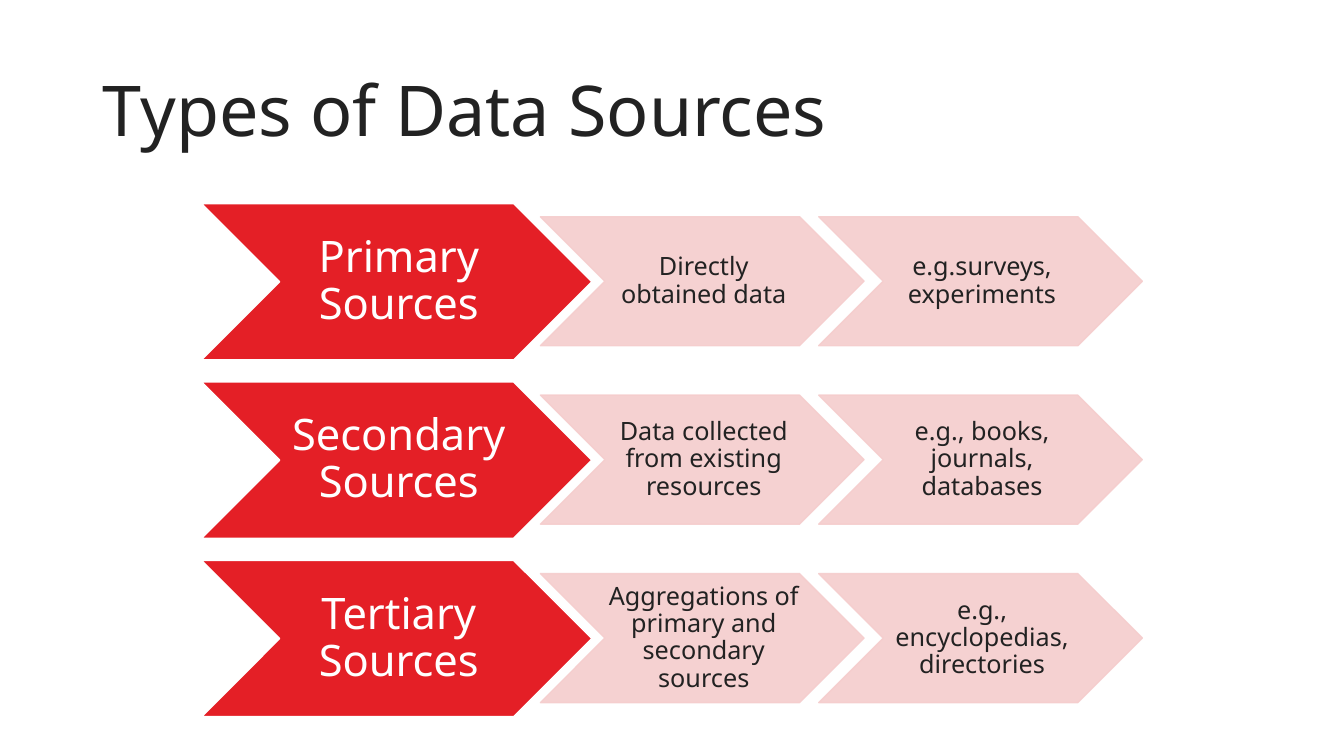
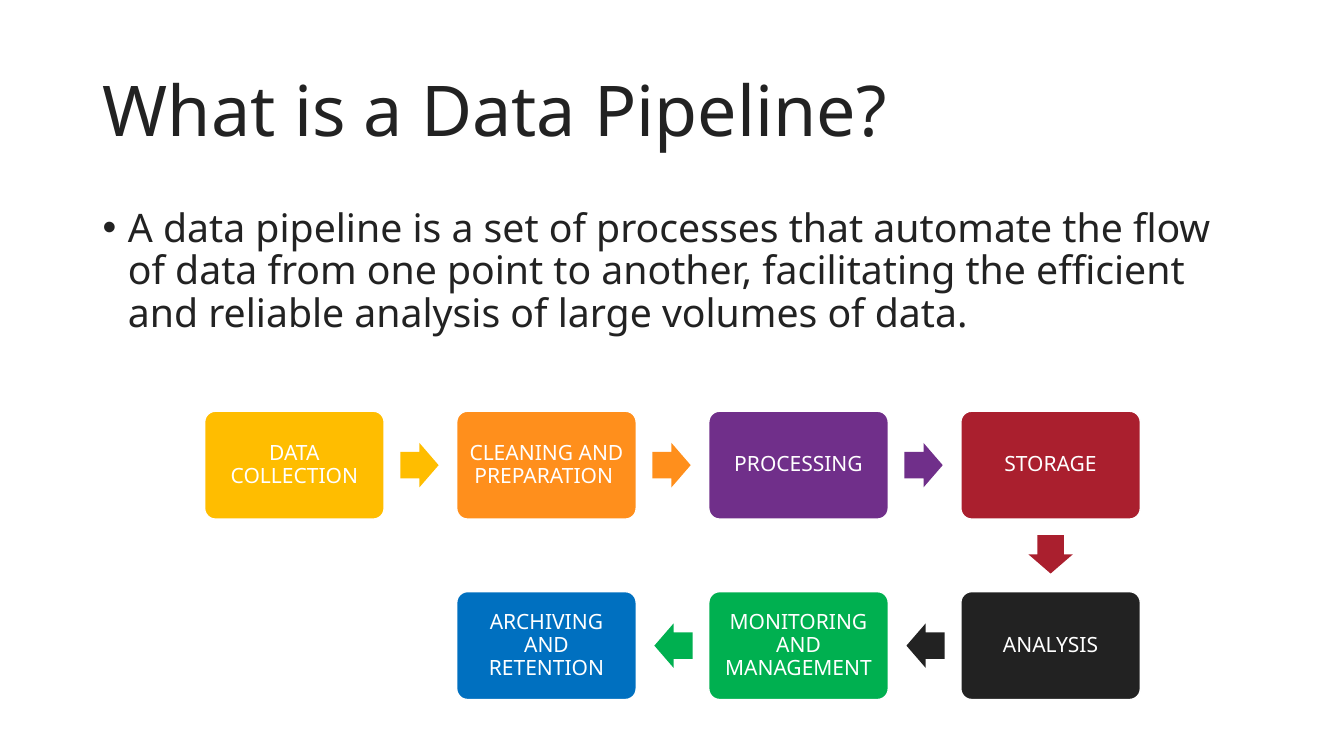
"""Build two slides on data sources and data pipelines."""
from itertools import zip_longest

from lxml import etree
from pptx import Presentation
from pptx.dml.color import RGBColor
from pptx.enum.shapes import MSO_SHAPE as SHAPE
from pptx.enum.text import MSO_ANCHOR as ANCHOR, MSO_AUTO_SIZE as AUTO, PP_ALIGN as ALIGN
from pptx.oxml.ns import qn
from pptx.util import Inches, Pt

FONT = "Noto Sans"
WHITE = RGBColor(0xFF, 0xFF, 0xFF)
INK = RGBColor(0x22, 0x22, 0x22)
RED = RGBColor(0xE4, 0x1F, 0x26)
PINK = RGBColor(0xF5, 0xCD, 0xCD)
YELLOW = RGBColor(0xFF, 0xBD, 0x00)
ORANGE = RGBColor(0xFF, 0x8F, 0x1C)
PURPLE = RGBColor(0x70, 0x2F, 0x8A)
CRIMSON = RGBColor(0xAA, 0x1F, 0x2E)
GREEN = RGBColor(0x00, 0xB0, 0x50)
BLUE = RGBColor(0x00, 0x70, 0xC0)

SOURCES = [
    ("Primary Sources", "Directly obtained data", "e.g.surveys, experiments"),
    ("Secondary Sources", "Data collected from existing resources",
     "e.g., books, journals, databases"),
    ("Tertiary Sources", "Aggregations of primary and secondary sources",
     "e.g., encyclopedias, directories"),
]
STAGES = [
    ("DATA COLLECTION", YELLOW, 0, 0),
    ("CLEANING AND PREPARATION ", ORANGE, 1, 0),
    ("PROCESSING", PURPLE, 2, 0),
    ("STORAGE", CRIMSON, 3, 0),
    ("ANALYSIS", INK, 3, 1),
    ("MONITORING AND MANAGEMENT", GREEN, 2, 1),
    ("ARCHIVING AND RETENTION", BLUE, 1, 1),
]
DEFINITION = (
    "A data pipeline is a set of processes that automate the flow of data "
    "from one point to another, facilitating the efficient and reliable "
    "analysis of large volumes of data. "
)
STAGE_W, STAGE_H = 1.78, 1.07
ARROW_W, ARROW_H, ARROW_GAP = 0.38, 0.44, 0.16


def write(frame, text, size, color, align=ALIGN.LEFT, anchor=ANCHOR.MIDDLE):
    """Put one formatted run into a text frame and return its paragraph."""
    frame.word_wrap = True
    frame.auto_size = AUTO.NONE
    frame.vertical_anchor = anchor
    paragraph = frame.paragraphs[0]
    paragraph.alignment = align
    paragraph.line_spacing = 0.9
    run = paragraph.add_run()
    run.text = text
    run.font.name = FONT
    run.font.size = Pt(size)
    run.font.color.rgb = color
    return paragraph


def set_margins(frame, left, top, right, bottom):
    """Set the four text margins in inches."""
    frame.margin_left, frame.margin_top = Inches(left), Inches(top)
    frame.margin_right, frame.margin_bottom = Inches(right), Inches(bottom)


def add_titled_slide(deck, title):
    """Add a title-only slide with the shared title style."""
    slide = deck.slides.add_slide(deck.slide_layouts[5])
    heading = slide.shapes.title
    heading.left, heading.top = Inches(0.92), Inches(0.4)
    heading.width, heading.height = Inches(11.5), Inches(1.45)
    write(heading.text_frame, title, 50, INK)
    return slide


def add_filled(slide, kind, box, fill, line=None):
    """Add a flat preset shape with a solid fill and an optional outline."""
    shape = slide.shapes.add_shape(kind, *(Inches(length) for length in box))
    shape.shadow.inherit = False
    shape.fill.solid()
    shape.fill.fore_color.rgb = fill
    if line is None:
        shape.line.fill.background()
    else:
        shape.line.color.rgb = line
        shape.line.width = Pt(1)
    return shape


def set_opacity(shape, percent):
    """Make the fill and outline of a shape partly transparent."""
    for color in shape.element.spPr.iter(qn("a:srgbClr")):
        etree.SubElement(color, qn("a:alpha")).set("val", str(percent * 1000))


def add_source_row(slide, top, source, *details):
    """Add a large source chevron followed by pale detail chevrons."""
    lead = add_filled(slide, SHAPE.CHEVRON, (2, top, 3.87, 1.55), RED, WHITE)
    set_margins(lead.text_frame, 0.04, 0.02, 0, 0.02)
    write(lead.text_frame, source, 31, WHITE, ALIGN.CENTER)
    for column, detail in enumerate(details):
        box = (5.36 + 2.76 * column, top + 0.13, 3.21, 1.28)
        chevron = add_filled(slide, SHAPE.CHEVRON, box, PINK, PINK)
        set_opacity(chevron, 90)
        set_margins(chevron.text_frame, 0.03, 0.01, 0, 0.01)
        write(chevron.text_frame, detail, 18, INK, ALIGN.CENTER)


def add_bullet(slide, box, text):
    """Add a text box holding one bulleted paragraph."""
    frame = slide.shapes.add_textbox(*(Inches(length) for length in box)).text_frame
    paragraph = write(frame, text, 28, INK, anchor=ANCHOR.TOP)
    properties = paragraph._p.get_or_add_pPr()
    properties.set("marL", str(Inches(0.25)))
    properties.set("indent", str(Inches(-0.25)))
    etree.SubElement(properties, qn("a:buFont")).set("typeface", "Arial")
    etree.SubElement(properties, qn("a:buChar")).set("char", "•")


def add_stage(slide, left, top, text, color):
    """Add one rounded pipeline stage."""
    box = (left, top, STAGE_W, STAGE_H)
    stage = add_filled(slide, SHAPE.ROUNDED_RECTANGLE, box, color, WHITE)
    stage.adjustments[0] = 0.1
    set_margins(stage.text_frame, 0.06, 0.06, 0.06, 0.06)
    write(stage.text_frame, text, 15, WHITE, ALIGN.CENTER)


def add_arrow(slide, left, top, across, down, color):
    """Add an arrow leaving the stage at left, top in the given direction."""
    reach = ARROW_GAP + ARROW_W / 2
    center_x = left + STAGE_W / 2 + across * (STAGE_W / 2 + reach)
    center_y = top + STAGE_H / 2 + down * (STAGE_H / 2 + reach)
    box = (center_x - ARROW_W / 2, center_y - ARROW_H / 2, ARROW_W, ARROW_H)
    arrow = add_filled(slide, SHAPE.RIGHT_ARROW, box, color)
    arrow.adjustments[0] = 0.6
    arrow.adjustments[1] = 0.5
    arrow.rotation = 90 if down else 90 * (1 - across)


def build_sources(deck):
    """Build the slide on types of data sources."""
    slide = add_titled_slide(deck, "Types of Data Sources")
    for row, texts in enumerate(SOURCES):
        add_source_row(slide, 2.02 + 1.77 * row, *texts)


def build_pipeline(deck):
    """Build the slide that defines a data pipeline and shows its stages."""
    slide = add_titled_slide(deck, "What is a Data Pipeline?")
    add_bullet(slide, (0.92, 2.02, 11.51, 1.52), DEFINITION)
    for stage, following in zip_longest(STAGES, STAGES[1:]):
        text, color, column, row = stage
        left, top = 2.03 + 2.5 * column, 4.08 + 1.79 * row
        add_stage(slide, left, top, text, color)
        if following:
            add_arrow(slide, left, top, following[2] - column, following[3] - row, color)


def main():
    """Build and save the presentation."""
    deck = Presentation()
    deck.slide_width, deck.slide_height = Inches(13.33), Inches(7.5)
    build_sources(deck)
    build_pipeline(deck)
    deck.save("out.pptx")


if __name__ == "__main__":
    main()
